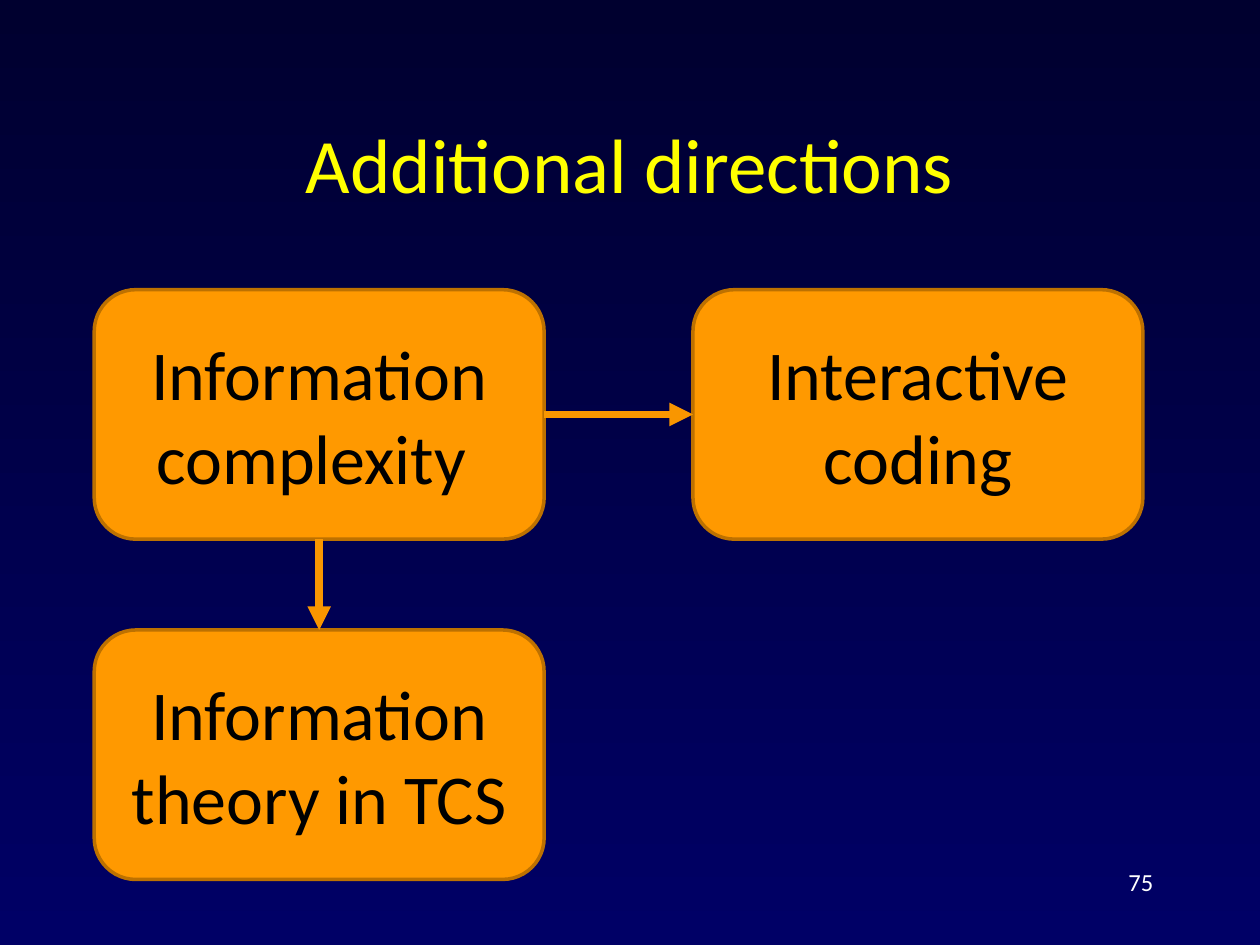
import pptx
import pptx.dml.color
import pptx.enum.shapes
import pptx.enum.text
import pptx.oxml
import pptx.oxml.ns
import pptx.util
from pptx.util import Cm

RGBColor = pptx.dml.color.RGBColor
PP_ALIGN = pptx.enum.text.PP_ALIGN
MSO_ANCHOR = pptx.enum.text.MSO_ANCHOR

NIGHT = RGBColor(0x00, 0x00, 0x2F)
NAVY = RGBColor(0x00, 0x00, 0x66)
YELLOW = RGBColor(0xFF, 0xFF, 0x00)
WHITE = RGBColor(0xFF, 0xFF, 0xFF)
BLACK = RGBColor(0x00, 0x00, 0x00)
ORANGE = RGBColor(0xFF, 0x99, 0x00)
BROWN = RGBColor(0xBD, 0x71, 0x00)
ARROW = RGBColor(0xF9, 0x96, 0x00)

FONT = "Calibri"
TOP, LEFT, BOTTOM, RIGHT = range(4)


def paint_background(s):
    fill = s.background.fill
    fill.gradient()
    fill.gradient_angle = 270
    for stop, color, position in zip(fill.gradient_stops, (NIGHT, NAVY), (0, 1)):
        stop.color.rgb = color
        stop.position = position


def write(sp, text, size, color, align, anchor):
    tf = sp.text_frame
    tf.text = text
    tf.word_wrap = True
    tf.vertical_anchor = anchor
    p = tf.paragraphs[0]
    p.alignment = align
    font = p.runs[0].font
    font.name = FONT
    font.size = pptx.util.Pt(size)
    font.color.rgb = color


def add_label(s, box, text, size, color, align, anchor):
    sp = s.shapes.add_textbox(*box)
    write(sp, text, size, color, align, anchor)


def add_topic(s, box, text):
    sp = s.shapes.add_shape(pptx.enum.shapes.MSO_SHAPE.ROUNDED_RECTANGLE, *box)
    sp.shadow.inherit = False
    sp.fill.solid()
    sp.fill.fore_color.rgb = ORANGE
    sp.line.color.rgb = BROWN
    sp.line.width = pptx.util.Pt(2)
    write(sp, text, 40, BLACK, PP_ALIGN.CENTER, MSO_ANCHOR.MIDDLE)
    return sp


def add_arrow(s, start, start_side, end, end_side):
    line = s.shapes.add_connector(pptx.enum.shapes.MSO_CONNECTOR.STRAIGHT, 0, 0, 0, 0)
    line.begin_connect(start, start_side)
    line.end_connect(end, end_side)
    line.line.color.rgb = ARROW
    line.line.width = pptx.util.Pt(4.5)
    qn = pptx.oxml.ns.qn
    props = line.line._get_or_add_ln()
    props.append(props.makeelement(qn("a:tailEnd"), {"type": "triangle"}))
    sp_pr = props.getparent()
    sp_pr.append(sp_pr.makeelement(qn("a:effectLst"), {}))


def add_topic_map(s, box):
    left, top, width, height = box
    topic_width, topic_height = Cm(9.07), Cm(5.03)
    right_column = left + width - topic_width
    lower_row = top + height - topic_height
    size = topic_width, topic_height
    complexity = add_topic(s, (left, top, *size), "Information complexity ")
    coding = add_topic(s, (right_column, top, *size), "Interactive coding")
    theory = add_topic(s, (left, lower_row, *size), "Information theory in TCS")
    add_arrow(s, complexity, RIGHT, coding, LEFT)
    add_arrow(s, complexity, BOTTOM, theory, TOP)


def main():
    prs = pptx.Presentation()
    prs.slide_width, prs.slide_height = Cm(25.4), Cm(19.05)
    s = prs.slides.add_slide(prs.slide_layouts[6])
    paint_background(s)
    add_label(s, (Cm(1.9), Cm(1.7), Cm(21.6), Cm(3.18)), "Additional directions",
              44, YELLOW, PP_ALIGN.CENTER, MSO_ANCHOR.MIDDLE)
    add_label(s, (Cm(18.2), Cm(17.35), Cm(5.3), Cm(1.27)), "75",
              14, WHITE, PP_ALIGN.RIGHT, MSO_ANCHOR.TOP)
    add_topic_map(s, (Cm(1.9), Cm(5.84), Cm(21.14), Cm(11.89)))
    prs.save("out.pptx")


if __name__ == "__main__":
    main()
